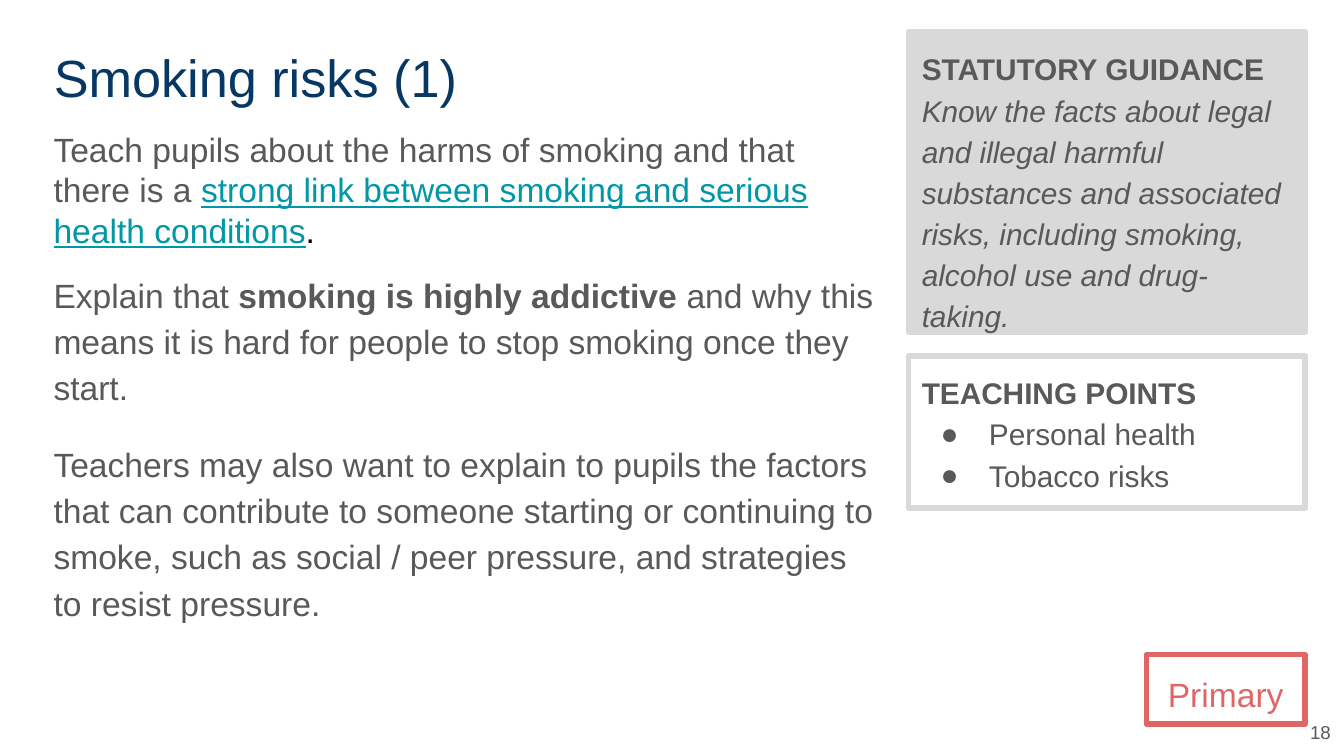
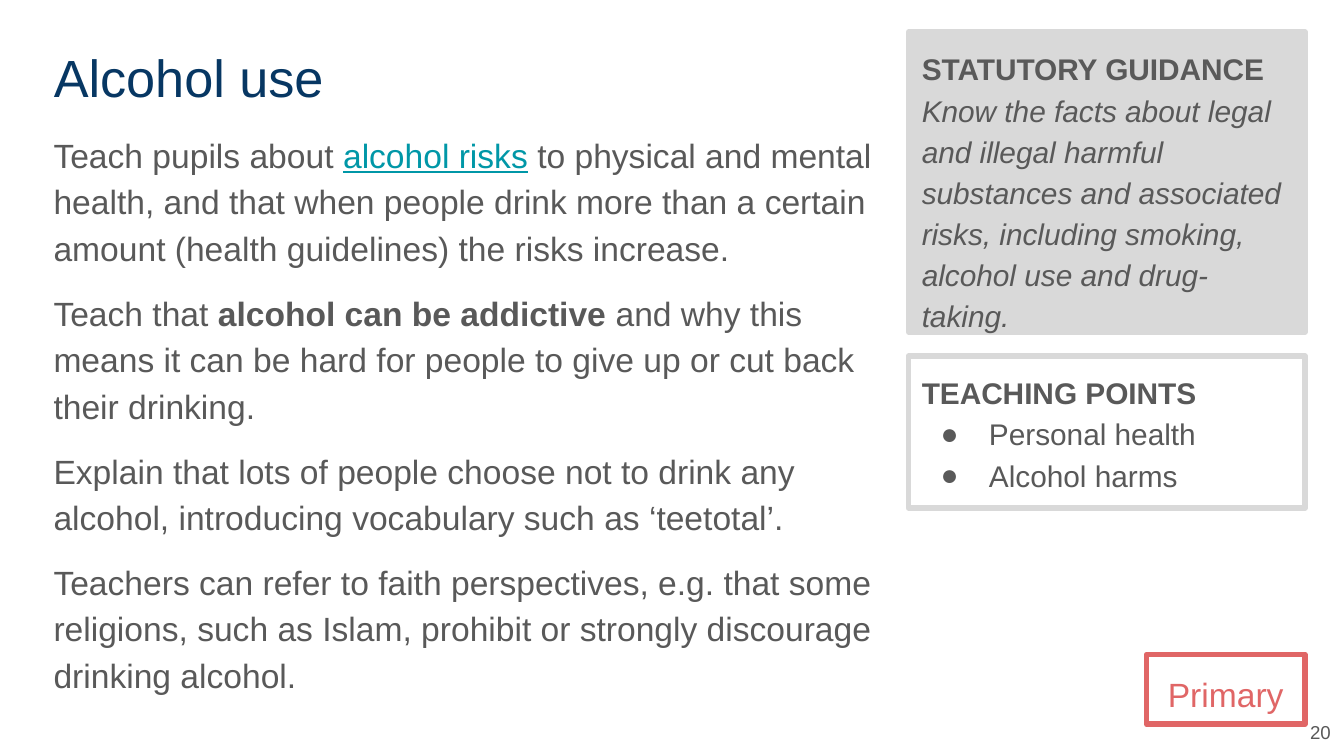
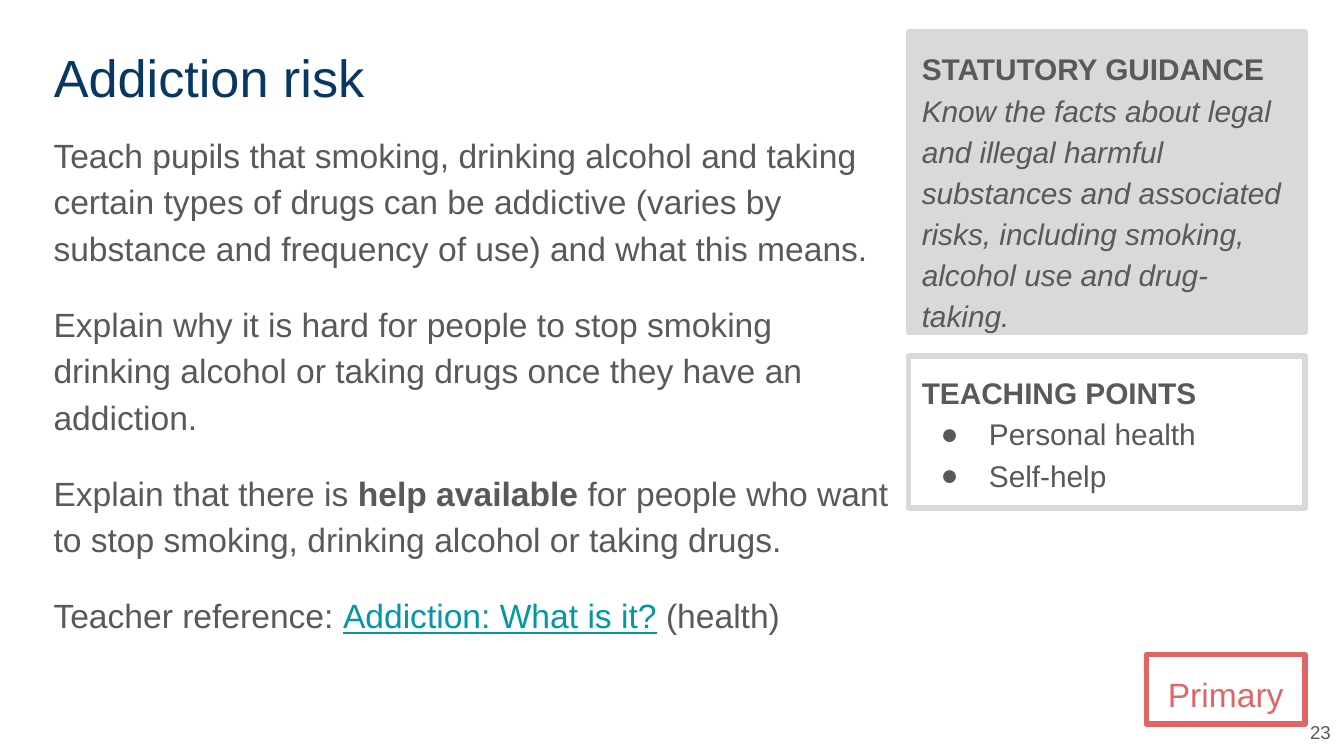
from copy import deepcopy
from dataclasses import dataclass

from lxml.etree import SubElement
from pptx import Presentation
from pptx.dml.color import RGBColor
from pptx.enum.shapes import MSO_SHAPE
from pptx.enum.text import MSO_ANCHOR, MSO_AUTO_SIZE, PP_ALIGN
from pptx.oxml.ns import qn
from pptx.util import Inches, Pt

FONT = "Arial"
NAVY, GREY, PANEL, TEAL, CORAL, BLACK = (
    "073763", "595959", "D9D9D9", "0097A7", "E06666", "000000")

SLIDE_WIDTH = Inches(10)
SLIDE_HEIGHT = SLIDE_WIDTH * 9 // 16

# Left, top, width and height as percentages of the slide's size
TITLE_AREA = (3, 4.27, 64.1, 11.2)
BODY_AREA = (3, 15.29, 64.1, 71.29)
NARROW_BODY_AREA = (3, 15.29, 63.2, 71.29)
GUIDANCE_AREA = (67.6, 4.27, 29.5, 39.64)
POINTS_AREA = (67.6, 47.11, 29.5, 20.09)
STAGE_AREA = (85.3, 86.58, 11.8, 9.24)
NUMBER_AREA = (96.1, 93.51, 3.9, 6.58)

BOLD = {"bold": True}
ITALIC = {"italic": True}
LINK = {"color": TEAL, "underline": True}

GUIDANCE = ("Know the facts about legal and illegal harmful substances and associated "
            "risks, including smoking, alcohol use and drug-taking.")


@dataclass
class Passage:
    """A paragraph: spans are plain strings or (text, format) pairs."""
    spans: list
    before: int = 0
    spacing: float = 1.15
    bulleted: bool = False


LESSONS = [
    {
        "title": "Smoking risks (1)", "number": 18, "topic": "Tobacco risks",
        "body_area": NARROW_BODY_AREA,
        "body": [
            Passage(["Teach pupils about the harms of smoking and that there is a ",
                     ("strong link between smoking and serious health conditions", LINK),
                     (".", {"color": BLACK})], spacing=1.0),
            Passage(["Explain that ", ("smoking is highly addictive", BOLD),
                     " and why this means it is hard for people to stop smoking "
                     "once they start."], before=10),
            Passage(["Teachers may also want to explain to pupils the factors that can "
                     "contribute to someone starting or continuing to smoke, such as "
                     "social / peer pressure, and strategies to resist pressure."],
                    before=16),
        ],
    },
    {
        "title": "Alcohol use", "number": 20, "topic": "Alcohol harms",
        "body_area": BODY_AREA,
        "body": [
            Passage(["Teach pupils about ", ("alcohol risks", LINK),
                     " to physical and mental health, and that when people drink more "
                     "than a certain amount (health guidelines) the risks increase."]),
            Passage(["Teach that ", ("alcohol can be addictive", BOLD),
                     " and why this means it can be hard for people to give up or cut "
                     "back their drinking."], before=10),
            Passage(["Explain that lots of people choose not to drink any alcohol, "
                     "introducing vocabulary such as ‘teetotal’."], before=10),
            Passage(["Teachers can refer to faith perspectives, e.g. that some religions, "
                     "such as Islam, prohibit or strongly discourage drinking alcohol."],
                    before=10),
        ],
    },
    {
        "title": "Addiction risk", "number": 23, "topic": "Self-help",
        "body_area": BODY_AREA,
        "body": [
            Passage(["Teach pupils that smoking, drinking alcohol and taking certain types "
                     "of drugs can be addictive (varies by substance and frequency of use) "
                     "and what this means."], before=10),
            Passage(["Explain why it is hard for people to stop smoking drinking alcohol or "
                     "taking drugs once they have an addiction."], before=16),
            Passage(["Explain that there is ", ("help available", BOLD),
                     " for people who want to stop smoking, drinking alcohol or taking "
                     "drugs."], before=16),
            Passage(["Teacher reference: ", ("Addiction: What is it?", LINK), " (health)"],
                    before=16),
        ],
    },
]


def rgb(color):
    return RGBColor.from_string(color)


def place(area):
    """Turn percentages of the slide into lengths."""
    sides = (SLIDE_WIDTH, SLIDE_HEIGHT) * 2
    return [round(side * share / 100) for side, share in zip(sides, area)]


def add_bullet(para, size, color):
    properties = para._p.get_or_add_pPr()
    properties.set("marL", str(Inches(0.5)))
    properties.set("indent", str(Inches(-0.36)))
    bullet_color = SubElement(properties, qn("a:buClr"))
    SubElement(bullet_color, qn("a:srgbClr")).set("val", color)
    SubElement(properties, qn("a:buSzPts")).set("val", str(size * 100))
    SubElement(properties, qn("a:buFont")).set("typeface", FONT)
    SubElement(properties, qn("a:buChar")).set("char", "●")


def add_span(para, text, size, color, bold=False, italic=False, underline=False):
    """Add a run; a closing newline becomes a line break of the same format."""
    span = para.add_run()
    span.text = text.rstrip("\n")
    font = span.font
    font.name, font.size = FONT, Pt(size)
    font.color.rgb = rgb(color)
    font.bold, font.italic, font.underline = bold, italic, underline
    if text.endswith("\n"):
        para.add_line_break()
        para._p[-1].append(deepcopy(span._r.rPr))


def write_text(box, passages, size=18, color=GREY, align=PP_ALIGN.LEFT,
               anchor=MSO_ANCHOR.TOP):
    frame = box.text_frame
    frame.word_wrap = True
    frame.auto_size = MSO_AUTO_SIZE.NONE
    frame.vertical_anchor = anchor
    frame.margin_left = frame.margin_top = Inches(0.1)
    frame.margin_right = frame.margin_bottom = Inches(0.1)
    for index, passage in enumerate(passages):
        para = frame.add_paragraph() if index else frame.paragraphs[0]
        para.alignment = align
        para.line_spacing = passage.spacing
        para.space_before = Pt(passage.before)
        if passage.bulleted:
            add_bullet(para, size, color)
        for span in passage.spans:
            text, style = (span, {}) if isinstance(span, str) else span
            add_span(para, text, **{"size": size, "color": color, **style})


def add_title(page, text):
    title = page.shapes.title
    title.left, title.top, title.width, title.height = place(TITLE_AREA)
    write_text(title, [Passage([text], spacing=1.0)], size=28, color=NAVY)


def add_text(page, area, passages, **style):
    write_text(page.shapes.add_textbox(*place(area)), passages, **style)


def add_panel(page, area, passages, border=PANEL, fill=None, **style):
    panel = page.shapes.add_shape(MSO_SHAPE.RECTANGLE, *place(area))
    panel.shadow.inherit = False
    panel.line.color.rgb = rgb(border)
    panel.line.width = Pt(3)
    if fill:
        panel.fill.solid()
        panel.fill.fore_color.rgb = rgb(fill)
    else:
        panel.fill.background()
    write_text(panel, passages, **style)


def add_lesson(deck, title, number, topic, body_area, body):
    page = deck.slides.add_slide(deck.slide_layouts[5])
    add_title(page, title)
    add_text(page, body_area, body)
    add_panel(page, GUIDANCE_AREA,
              [Passage([("STATUTORY GUIDANCE\n", BOLD), (GUIDANCE, ITALIC)])],
              fill=PANEL, size=16)
    points = [Passage([point], bulleted=True) for point in ("Personal health", topic)]
    add_panel(page, POINTS_AREA, [Passage([("TEACHING POINTS", BOLD)]), *points], size=16)
    add_panel(page, STAGE_AREA, [Passage(["Primary"])], border=CORAL, color=CORAL,
              align=PP_ALIGN.CENTER)
    add_text(page, NUMBER_AREA, [Passage([str(number)], spacing=1.0)], size=10,
             align=PP_ALIGN.RIGHT, anchor=MSO_ANCHOR.MIDDLE)


def main():
    deck = Presentation()
    deck.slide_width, deck.slide_height = SLIDE_WIDTH, SLIDE_HEIGHT
    for lesson in LESSONS:
        add_lesson(deck, **lesson)
    deck.save("out.pptx")


if __name__ == "__main__":
    main()
